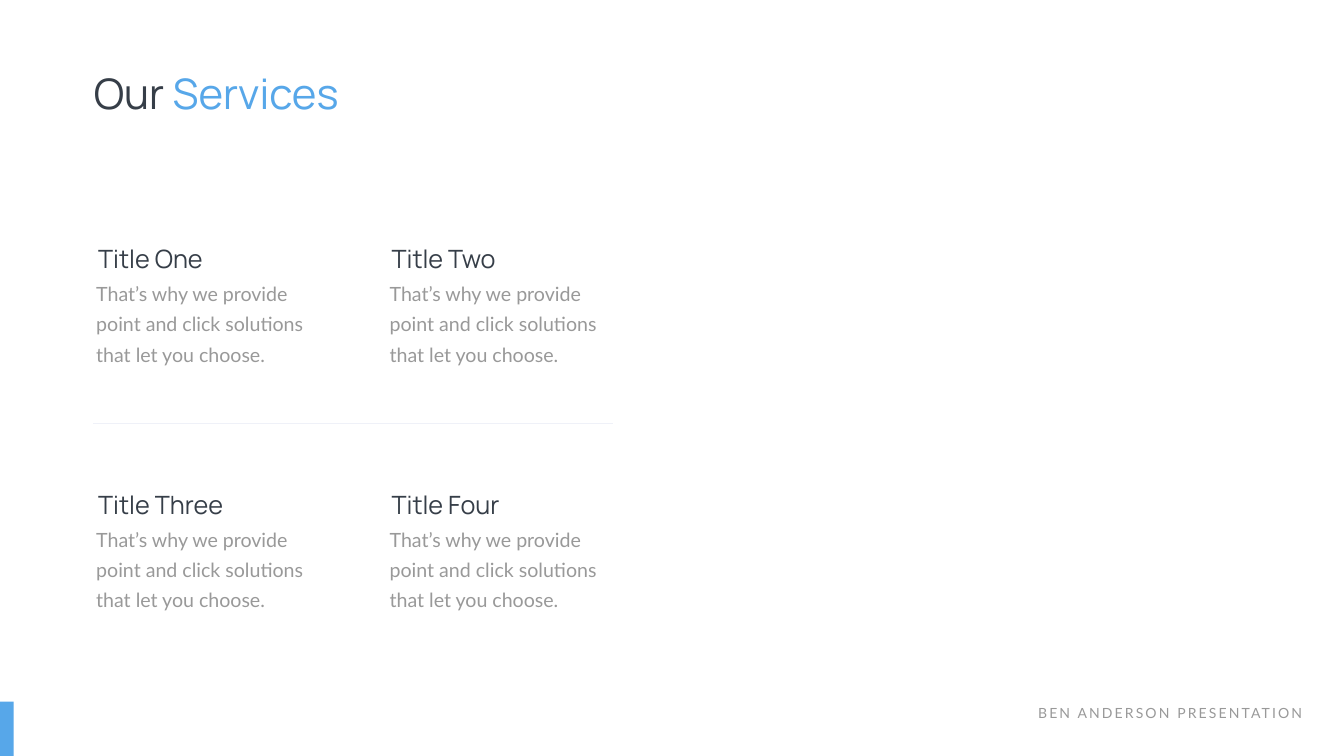
from itertools import product

from lxml.etree import SubElement
from pptx import Presentation
from pptx.dml.color import RGBColor
from pptx.enum.shapes import MSO_CONNECTOR as Connector, MSO_SHAPE as Shape
from pptx.enum.text import MSO_ANCHOR as Anchor, MSO_AUTO_SIZE as AutoSize, PP_ALIGN as Align
from pptx.oxml.ns import qn
from pptx.util import Inches, Pt

DARK, BLUE, GREY, PALE = "363E48", "57A7E9", "999999", "EFF1F8"
HEADING, BODY = "Manrope", "Lato"
SERVICES = ["Title One", "Title Two", "Title Three", "Title Four"]
HEADING_WIDTHS = [2.42, 2.41, 2.81, 2.49]
DESCRIPTION = "That’s why we provide point and click solutions that let you choose."


def color(value):
    return RGBColor.from_string(value)


def write(paragraph, text, *, font, size, fill, align=Align.LEFT, leading=None, tracking=0):
    paragraph.alignment = align
    if leading:
        paragraph.line_spacing = Pt(leading)
    run = paragraph.add_run()
    run.text = text
    run.font.name = font
    run.font.size = Pt(size)
    run.font.color.rgb = color(fill)
    if tracking:
        run._r.get_or_add_rPr().set("spc", str(tracking * 100))


class ServicesSlide:
    def __init__(self, deck):
        self.slide = deck.slides.add_slide(deck.slide_layouts[5])
        self.shapes = self.slide.shapes

    def title(self, parts, left, top, width, height):
        title = self.shapes.title
        title.left, title.top = Inches(left), Inches(top)
        title.width, title.height = Inches(width), Inches(height)
        frame = title.text_frame
        frame.margin_left = frame.margin_right = Inches(0.05)
        frame.vertical_anchor = Anchor.MIDDLE
        frame.auto_size = AutoSize.NONE
        for text, fill in parts:
            write(frame.paragraphs[0], text, font=HEADING, size=60, fill=fill)

    def text(self, text, left, top, width, height, parent=None, wrap=True, **style):
        shapes = parent.shapes if parent else self.shapes
        box = shapes.add_textbox(Inches(left), Inches(top), Inches(width), Inches(height))
        frame = box.text_frame
        frame.word_wrap = wrap
        frame.auto_size = AutoSize.SHAPE_TO_FIT_TEXT
        write(frame.paragraphs[0], text, **style)

    def bar(self, left, top, width, height, fill):
        bar = self.shapes.add_shape(
            Shape.RECTANGLE, Inches(left), Inches(top), Inches(width), Inches(height))
        bar.shadow.inherit = False
        bar.fill.solid()
        bar.fill.fore_color.rgb = color(fill)
        bar.line.fill.background()

    def service(self, heading, heading_width, left, top):
        group = self.shapes.add_group_shape()
        self.text(DESCRIPTION, left, top + 0.64, 4.52, 1.85, group,
                  font=BODY, size=28, fill=GREY, leading=43)
        self.text(heading, left + 0.04, top, heading_width, 0.71, group, wrap=False,
                  font=HEADING, size=36, fill=DARK)

    def divider(self, left, right, y, fill):
        line = self.shapes.add_connector(
            Connector.STRAIGHT, Inches(left), Inches(y), Inches(right), Inches(y))
        line.line.color.rgb = color(fill)
        line.line.width = Pt(0.5)
        SubElement(line._element.spPr, qn("a:effectLst"))


def main():
    deck = Presentation()
    deck.slide_width, deck.slide_height = Inches(26.66), Inches(15)
    page = ServicesSlide(deck)
    page.title([("Our ", DARK), ("Services", BLUE)], 1.81, 1.28, 14.34, 1.11)
    page.text("BEN ANDERSON PRESENTATION", 20.08, 13.92, 5.85, 0.44,
              font=BODY, size=20, fill=GREY, align=Align.RIGHT, tracking=3)
    page.bar(0, 13.92, 0.27, 1.08, BLUE)
    cells = product(range(2), repeat=2)
    for heading, width, (row, column) in zip(SERVICES, HEADING_WIDTHS, cells):
        page.service(heading, width, 1.81 + 5.82 * column, 4.78 + 4.88 * row)
    page.divider(1.85, 12.15, 8.39, PALE)
    deck.save("out.pptx")


if __name__ == "__main__":
    main()
